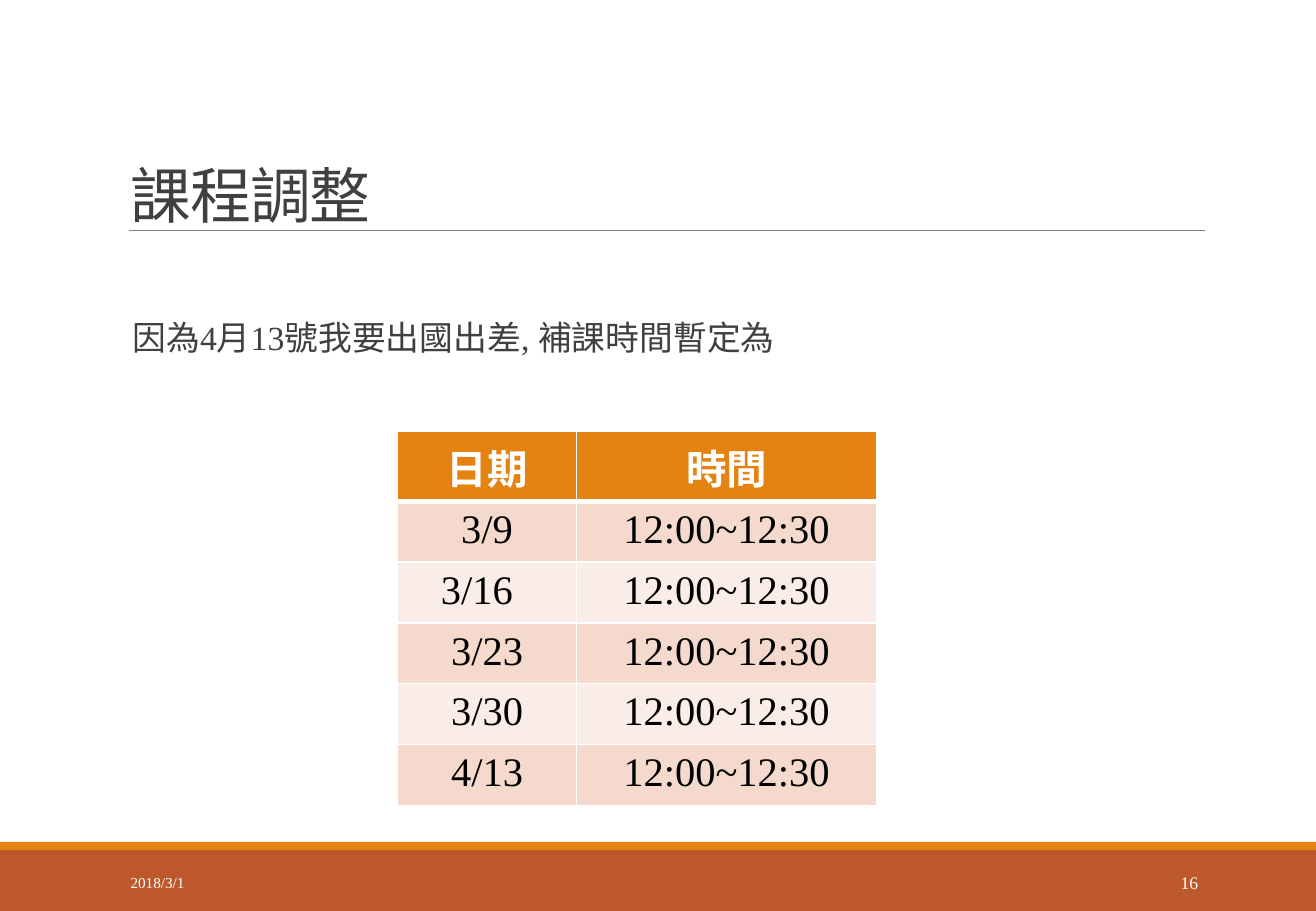
import pptx
import pptx.util
import pptx.dml.color
import pptx.enum.shapes
import pptx.enum.text
import pptx.oxml
import pptx.oxml.ns
from dataclasses import dataclass

Pt = pptx.util.Pt
Align = pptx.enum.text.PP_ALIGN
Anchor = pptx.enum.text.MSO_ANCHOR


@dataclass(frozen=True)
class Theme:
    font: str = "Times New Roman"
    text: str = "404040"
    black: str = "000000"
    white: str = "FFFFFF"
    rule: str = "808080"
    orange: str = "E48312"
    rust: str = "BD582C"
    bands: tuple = ("F5D9CC", "FAEDE7")
    title_size: float = 36
    body_size: float = 20
    table_size: float = 24
    number_size: float = 10.5
    date_size: float = 9


def color(value):
    return pptx.dml.color.RGBColor.from_string(value)


def apply(target, formats):
    for name, value in formats.items():
        setattr(target, name, value)


class SlideBuilder:
    def __init__(self, slide, theme):
        self.slide = slide
        self.theme = theme

    def fill_frame(self, frame, text, size, ink, bold=False, spacing=None, **paragraph_formats):
        """Put one formatted paragraph into a text frame; spacing is in 1/100 pt."""
        paragraph = frame.paragraphs[0]
        apply(paragraph, paragraph_formats)
        run = paragraph.add_run()
        run.text = text
        apply(run.font, {"name": self.theme.font, "size": Pt(size), "bold": bold})
        run.font.color.rgb = color(ink)
        if spacing is not None:
            run._r.get_or_add_rPr().set("spc", str(spacing))

    def title(self, text, left, top, width, height):
        shape = self.slide.shapes.title
        apply(shape, {"left": Pt(left), "top": Pt(top), "width": Pt(width), "height": Pt(height)})
        apply(shape.text_frame, {"word_wrap": True, "vertical_anchor": Anchor.BOTTOM,
                                 "auto_size": pptx.enum.text.MSO_AUTO_SIZE.NONE})
        self.fill_frame(shape.text_frame, text, self.theme.title_size, self.theme.text,
                        spacing=-50, alignment=Align.LEFT, line_spacing=0.85)

    def text(self, text, left, top, width, height, size, ink, frame_formats, **paragraph_formats):
        frame = self.slide.shapes.add_textbox(Pt(left), Pt(top), Pt(width), Pt(height)).text_frame
        apply(frame, {"word_wrap": True, **frame_formats})
        self.fill_frame(frame, text, size, ink, **paragraph_formats)

    def bar(self, left, top, width, height, fill):
        shape = self.slide.shapes.add_shape(pptx.enum.shapes.MSO_SHAPE.RECTANGLE,
                                            Pt(left), Pt(top), Pt(width), Pt(height))
        shape.shadow.inherit = False
        shape.fill.solid()
        shape.fill.fore_color.rgb = color(fill)
        shape.line.fill.background()

    def horizontal_line(self, left, right, y, ink, weight):
        line = self.slide.shapes.add_connector(pptx.enum.shapes.MSO_CONNECTOR.STRAIGHT,
                                               Pt(left), Pt(y), Pt(right), Pt(y))
        line.line.color.rgb = color(ink)
        line.line.width = Pt(weight)
        line._element.spPr.append(pptx.oxml.parse_xml(
            f"<a:effectLst {pptx.oxml.ns.nsdecls('a')}/>"))

    def border(self, cell, side, weight):
        edge = pptx.oxml.parse_xml(
            f'<a:{side} {pptx.oxml.ns.nsdecls("a")} w="{int(Pt(weight))}"><a:solidFill>'
            f'<a:srgbClr val="{self.theme.white}"/></a:solidFill></a:{side}>')
        cell._tc.get_or_add_tcPr().append(edge)

    def table(self, rows, left, top, widths, heights):
        """Add a table with a header row and alternating bands; return it."""
        table = self.slide.shapes.add_table(
            len(rows), len(widths), Pt(left), Pt(top), Pt(sum(widths)), Pt(sum(heights))).table
        apply(table, {"first_row": False, "horz_banding": False})
        for column, width in zip(table.columns, widths):
            column.width = Pt(width)
        for row_index, (values, height) in enumerate(zip(rows, heights)):
            table.rows[row_index].height = Pt(height)
            header = row_index == 0
            fill = self.theme.orange if header else self.theme.bands[(row_index - 1) % 2]
            for column_index, value in enumerate(values):
                cell = table.cell(row_index, column_index)
                self.fill_frame(cell.text_frame, value, self.theme.table_size,
                                self.theme.white if header else self.theme.black,
                                bold=header, alignment=Align.CENTER)
                for side in ("lnL", "lnR", "lnT", "lnB"):
                    thick = (row_index, side) in ((0, "lnB"), (1, "lnT"))
                    self.border(cell, side, 3 if thick else 1)
                cell.fill.solid()
                cell.fill.fore_color.rgb = color(fill)
        return table


def main():
    theme = Theme()
    width, height = 780, 540
    presentation = pptx.Presentation()
    apply(presentation, {"slide_width": Pt(width), "slide_height": Pt(height)})
    slide = presentation.slides.add_slide(presentation.slide_layouts.get_by_name("Title Only"))
    builder = SlideBuilder(slide, theme)

    builder.bar(0, 504, width, 36, theme.rust)
    builder.bar(0, 499, width, 5, theme.orange)
    builder.horizontal_line(76.5, 714, 136.8, theme.rule, 0.5)
    builder.title("課程調整", 70, 26, 644, 114.5)
    builder.text("因為4月13號我要出國出差, 補課時間暫定為", 78.5, 187, 635, 36,
                 theme.body_size, theme.text, {"margin_left": 0, "margin_right": 0},
                 line_spacing=0.9)

    dates = ("3/9", "3/16", "3/23", "3/30", "4/13")
    rows = [("日期", "時間")] + [(date, "12:00~12:30") for date in dates]
    table = builder.table(rows, 235.7, 255.8, (106, 177.8), [41.4] + [33.8] * len(dates))
    table.cell(dates.index("3/16") + 1, 0).margin_right = Pt(19.2)

    middle = {"vertical_anchor": Anchor.MIDDLE}
    builder.text("2018/3/1", 70.3, 508.5, 158, 29, theme.date_size, theme.white, middle)
    builder.text("16", 633, 508.5, 84.3, 29, theme.number_size, theme.white, middle,
                 alignment=Align.RIGHT)
    presentation.save("out.pptx")


if __name__ == "__main__":
    main()
